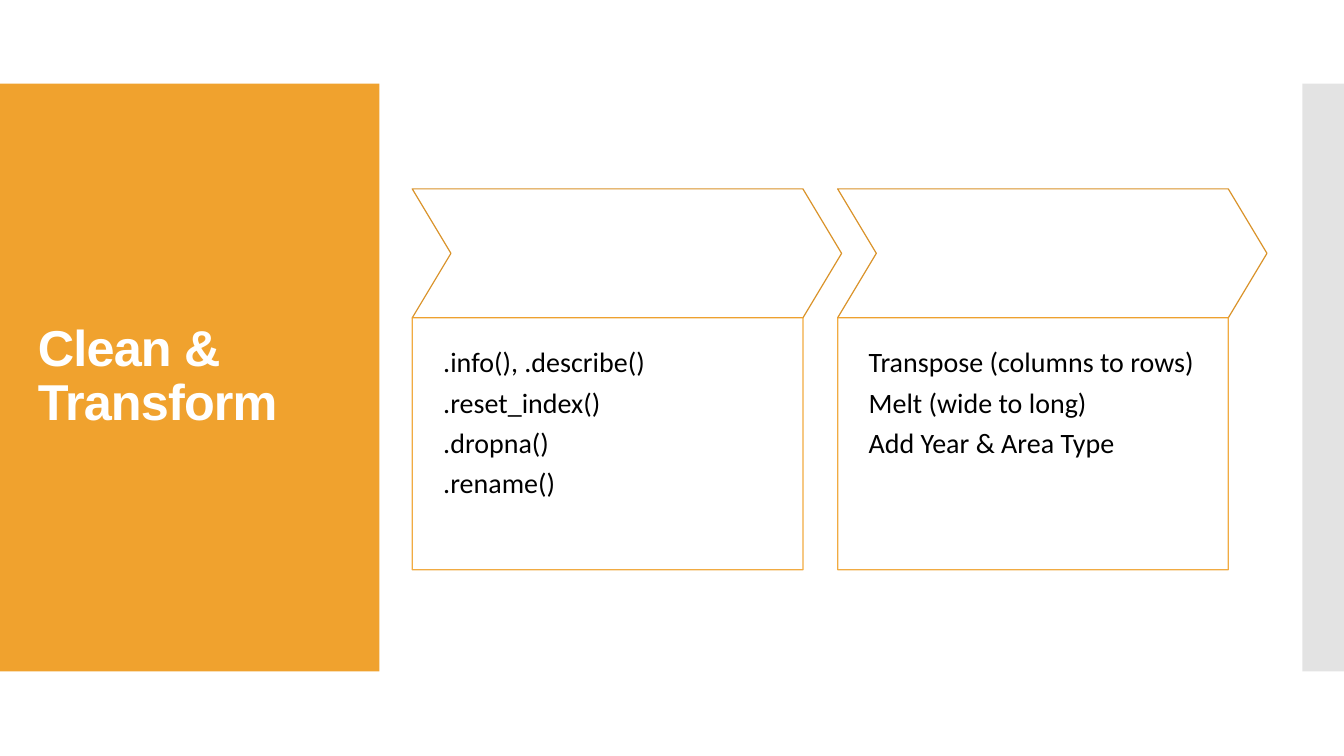
from lxml.etree import SubElement
from pptx import Presentation
from pptx.dml.color import RGBColor
from pptx.enum.shapes import MSO_SHAPE
from pptx.enum.text import MSO_ANCHOR, MSO_AUTO_SIZE, PP_ALIGN
from pptx.oxml.ns import qn
from pptx.util import Cm, Pt

COLORS = {"orange": "F0A22E", "outline": "DA932A", "gray": "C8C8C8",
          "white": "FFFFFF", "black": "000000"}
STEPS = [
    [".info(), .describe()", ".reset_index()", ".dropna()", ".rename()"],
    ["Transpose (columns to rows)", "Melt (wide to long)", "Add Year & Area Type"],
]


def add_block(page, kind, place, fill, line=None):
    """Add a preset shape at (left, top, width, height) in cm."""
    block = page.shapes.add_shape(kind, *[Cm(length) for length in place])
    block.shadow.inherit = False
    block.fill.solid()
    block.fill.fore_color.rgb = RGBColor.from_string(COLORS[fill])
    if line:
        block.line.color.rgb = RGBColor.from_string(COLORS[line])
        block.line.width = Pt(0.85)
    else:
        block.line.fill.background()
    return block


def set_opacity(fill, percent):
    """Make a solid fill, of a shape or of its line, partly transparent."""
    color = fill._xPr.find(qn("a:solidFill"))[0]
    SubElement(color, qn("a:alpha")).set("val", str(percent * 1000))


deck = Presentation()
deck.slide_width, deck.slide_height = Cm(33.87), Cm(19.05)
page = deck.slides.add_slide(deck.slide_layouts[5])

# Side panels, placed behind the title
title_panel = add_block(page, MSO_SHAPE.RECTANGLE, (0, 2.11, 9.56, 14.81), "orange")
edge_panel = add_block(page, MSO_SHAPE.RECTANGLE, (32.82, 2.11, 1.05, 14.81), "gray")
set_opacity(edge_panel.fill, 50)

title = page.shapes.title
title_panel._element.addnext(title._element)
title.left, title.top, title.width, title.height = Cm(0.7), Cm(3.12), Cm(8.18), Cm(12.78)
title.text_frame.text = "Clean & Transform"
title.text_frame.word_wrap = True
title.text_frame.auto_size = MSO_AUTO_SIZE.NONE
title.text_frame.vertical_anchor = MSO_ANCHOR.MIDDLE
heading = title.text_frame.paragraphs[0]
heading.alignment = PP_ALIGN.LEFT
heading.line_spacing = 0.9
span = heading.runs[0]
span.font.name, span.font.size, span.font.bold = "Arial", Pt(36), True
span.font.color.rgb = RGBColor.from_string(COLORS["white"])
span.font._element.set("spc", "-60")

# Each step: a chevron with a box that ends where its point begins
step_left, step_pitch = 10.39, 10.72
chevron_top, chevron_width, chevron_height = 4.76, 10.82, 3.25
point_ratio, box_height = 0.3, 6.35
box_width = chevron_width - point_ratio * chevron_height

for index, lines in enumerate(STEPS):
    left = step_left + index * step_pitch
    chevron = add_block(page, MSO_SHAPE.CHEVRON,
                        (left, chevron_top, chevron_width, chevron_height),
                        "white", "outline")
    chevron.adjustments[0] = point_ratio

    box = add_block(page, MSO_SHAPE.RECTANGLE,
                    (left, chevron_top + chevron_height, box_width, box_height),
                    "white", "orange")
    set_opacity(box.fill, 90)
    set_opacity(box.line.fill, 90)
    frame = box.text_frame
    frame.word_wrap = True
    frame.vertical_anchor = MSO_ANCHOR.TOP
    frame.margin_left = frame.margin_right = frame.margin_top = Cm(0.78)
    frame.margin_bottom = Cm(1.55)
    frame.text = "\n".join(lines)
    for para in frame.paragraphs:
        para.alignment = PP_ALIGN.LEFT
        para.line_spacing = 0.9
        para.space_after = Pt(7)
        font = para.runs[0].font
        font.name, font.size = "Calibri", Pt(20)
        font.color.rgb = RGBColor.from_string(COLORS["black"])

deck.save("out.pptx")
